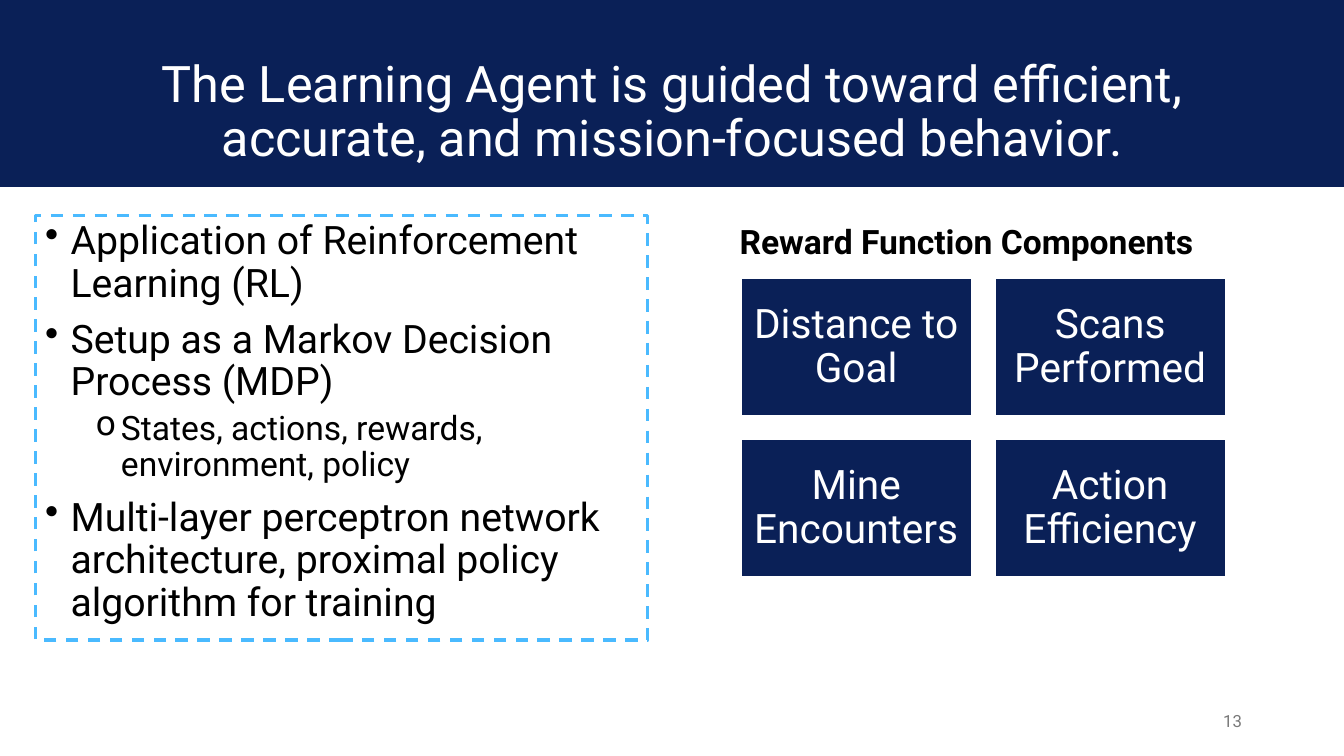
import pptx
import pptx.util
import pptx.dml.color
import pptx.enum.dml
import pptx.enum.shapes
import pptx.enum.text
import pptx.oxml
import pptx.oxml.ns

Cm = pptx.util.Cm
Pt = pptx.util.Pt
ALIGN = pptx.enum.text.PP_ALIGN
ANCHOR = pptx.enum.text.MSO_ANCHOR

TITLE = "The Learning Agent is guided toward efficient, accurate, and mission-focused behavior."
METHOD_POINTS = [
    (0, "Application of Reinforcement Learning (RL)"),
    (0, "Setup as a Markov Decision Process (MDP)"),
    (1, "States, actions, rewards, environment, policy"),
    (0, "Multi-layer perceptron network architecture, proximal policy algorithm for training"),
]
LEVELS = [
    {"bullet": "•", "size": 28, "before": 10, "margin": 0.64},
    {"bullet": "o", "size": 24, "before": 5, "margin": 1.91},
]
REWARD_HEADING = "Reward Function Components"
REWARDS = ["Distance to Goal", "Scans Performed", "Mine Encounters", "Action Efficiency"]
PAGE_NUMBER = "13"

FONT = "Roboto"
COLORS = {"navy": "0A2057", "sky": "4ABAFF", "white": "FFFFFF", "black": "000000", "gray": "797979"}

TILE_LEFT, TILE_TOP = 18.67, 7.01
TILE_WIDTH, TILE_HEIGHT, TILE_GAP = 5.82, 3.48, 0.58
TILE_COLUMNS = 2
TILE_INSET = 0.3


def color(name):
    return pptx.dml.color.RGBColor.from_string(COLORS[name])


def add_box(slide, left, top, width, height, fill, line, line_width):
    shape = slide.shapes.add_shape(
        pptx.enum.shapes.MSO_SHAPE.RECTANGLE, Cm(left), Cm(top), Cm(width), Cm(height))
    shape.shadow.inherit = False
    if fill:
        shape.fill.solid()
        shape.fill.fore_color.rgb = color(fill)
    else:
        shape.fill.background()
    shape.line.color.rgb = color(line)
    shape.line.width = Pt(line_width)
    return shape


def style(paragraph, text, size, ink, align=ALIGN.LEFT, spacing=None, bold=False):
    paragraph.text = text
    paragraph.alignment = align
    paragraph.line_spacing = spacing
    paragraph.font.name = FONT
    paragraph.font.size = Pt(size)
    paragraph.font.bold = bold
    paragraph.font.color.rgb = color(ink)


def add_label(slide, left, top, width, height, anchor, wrap, **text_style):
    box = slide.shapes.add_textbox(Cm(left), Cm(top), Cm(width), Cm(height))
    box.text_frame.word_wrap = wrap
    box.text_frame.vertical_anchor = anchor
    style(box.text_frame.paragraphs[0], **text_style)


def add_bullet(paragraph, character, margin):
    properties = paragraph._p.get_or_add_pPr()
    properties.set("marL", str(Cm(margin)))
    properties.set("indent", str(-Cm(0.64)))
    bullet = pptx.oxml.parse_xml(
        f'<a:buChar {pptx.oxml.ns.nsdecls("a")} char="{character}"/>')
    properties.insert_element_before(bullet, "a:tabLst", "a:defRPr", "a:extLst")


def add_method_panel(slide):
    panel = add_box(slide, 0.89, 5.44, 15.44, 10.69, None, "sky", 2.25)
    panel.line.dash_style = pptx.enum.dml.MSO_LINE.DASH
    frame = panel.text_frame
    frame.word_wrap = True
    frame.vertical_anchor = ANCHOR.TOP
    for index, (depth, text) in enumerate(METHOD_POINTS):
        level = LEVELS[depth]
        paragraph = frame.add_paragraph() if index else frame.paragraphs[0]
        paragraph.level = depth
        style(paragraph, text, level["size"], "black", spacing=0.9)
        paragraph.space_before = Pt(level["before"])
        add_bullet(paragraph, level["bullet"], level["margin"])


def add_reward_tiles(slide):
    for index, reward in enumerate(REWARDS):
        row, column = divmod(index, TILE_COLUMNS)
        tile = add_box(
            slide,
            TILE_LEFT + column * (TILE_WIDTH + TILE_GAP),
            TILE_TOP + row * (TILE_HEIGHT + TILE_GAP),
            TILE_WIDTH, TILE_HEIGHT, "navy", "white", 1.5)
        frame = tile.text_frame
        frame.word_wrap = True
        frame.vertical_anchor = ANCHOR.MIDDLE
        frame.margin_left = frame.margin_right = Cm(TILE_INSET)
        frame.margin_top = frame.margin_bottom = Cm(TILE_INSET)
        style(frame.paragraphs[0], reward, 29, "white", ALIGN.CENTER, 0.9)


def main():
    presentation = pptx.Presentation()
    presentation.slide_width = Cm(33.87)
    presentation.slide_height = Cm(19.05)
    slide = presentation.slides.add_slide(presentation.slide_layouts[6])

    add_box(slide, -0.56, -0.08, 34.82, 4.78, "navy", "navy", 1.5)
    add_label(slide, 2.34, 1.02, 29.21, 3.68, ANCHOR.MIDDLE, True,
              text=TITLE, size=36, ink="white", align=ALIGN.CENTER, spacing=0.9)
    add_method_panel(slide)
    add_label(slide, 23.93, 17.65, 7.62, 1.02, ANCHOR.MIDDLE, True,
              text=PAGE_NUMBER, size=12, ink="gray", align=ALIGN.RIGHT)
    add_reward_tiles(slide)
    add_label(slide, 18.39, 5.44, 12.29, 1.27, ANCHOR.TOP, False,
              text=REWARD_HEADING, size=24, ink="black", bold=True)

    presentation.save("out.pptx")


if __name__ == "__main__":
    main()
